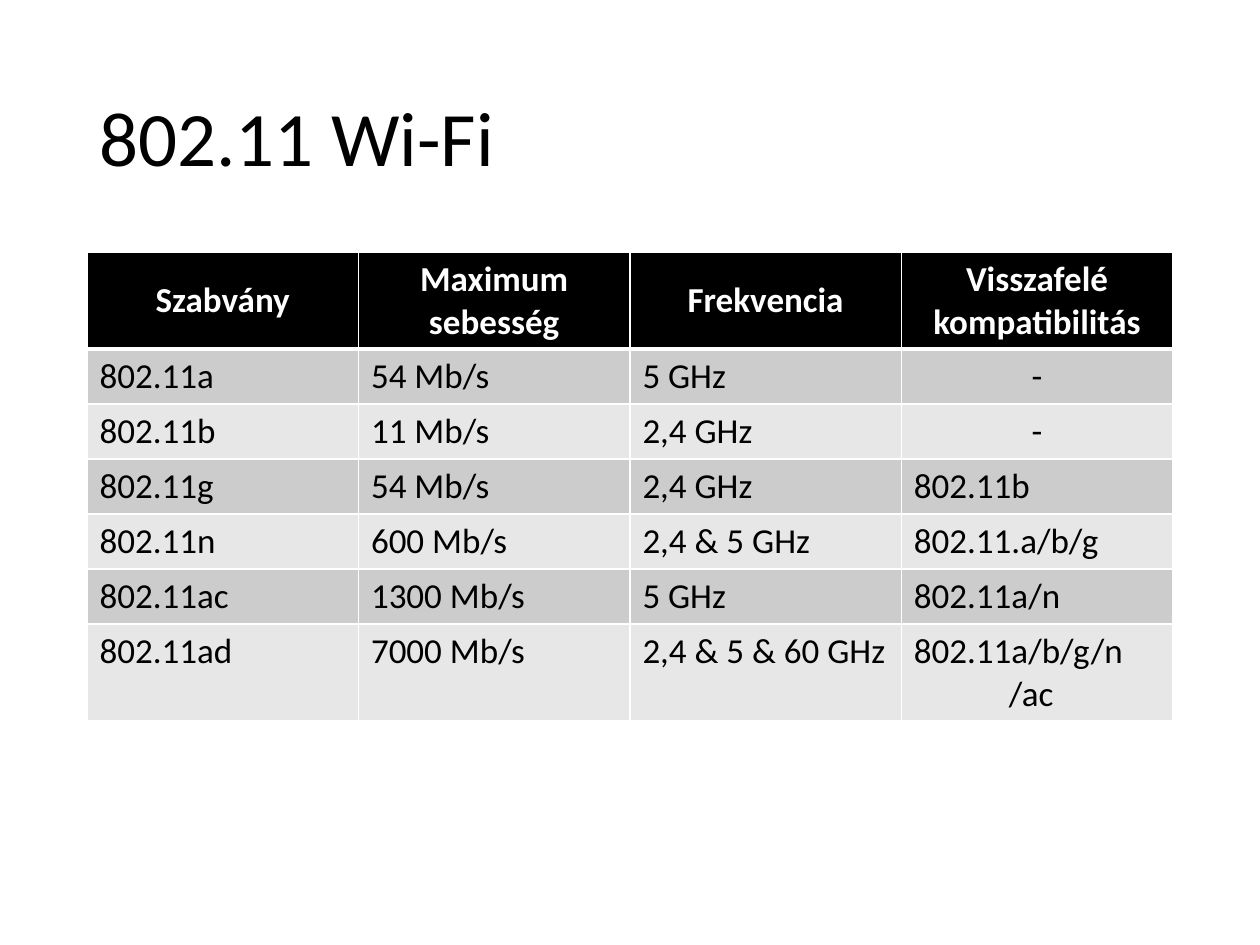
import pptx
import pptx.dml.color
import pptx.enum.text
import pptx.oxml
import pptx.oxml.ns
import pptx.util

RGBColor = pptx.dml.color.RGBColor
PP_ALIGN = pptx.enum.text.PP_ALIGN
MSO_ANCHOR = pptx.enum.text.MSO_ANCHOR

TITLE = "802.11 Wi-Fi"
HEADINGS = ("Szabvány", "Maximum sebesség", "Frekvencia", "Visszafelé kompatibilitás")
STANDARDS = (
    ("802.11a", "54 Mb/s", "5 GHz", "-"),
    ("802.11b", "11 Mb/s", "2,4 GHz", "-"),
    ("802.11g", "54 Mb/s", "2,4 GHz", "802.11b"),
    ("802.11n", "600 Mb/s", "2,4 & 5 GHz", "802.11.a/b/g"),
    ("802.11ac", "1300 Mb/s", "5 GHz", "802.11a/n"),
    ("802.11ad", "7000 Mb/s", "2,4 & 5 & 60 GHz", "802.11a/b/g/n\n/ac"),
)

FONT = "Calibri"
BLACK = RGBColor(0x00, 0x00, 0x00)
WHITE = RGBColor(0xFF, 0xFF, 0xFF)
BANDS = (RGBColor(0xCC, 0xCC, 0xCC), RGBColor(0xE7, 0xE7, 0xE7))

PX = 914400 // 126
SLIDE_W, SLIDE_H = 1260, 945
LEFT, WIDTH = 87, 1086
TITLE_TOP, TITLE_H = 50, 183
TABLE_TOP = 252
ONE_LINE, TWO_LINES = 55, 97
CONTINUATION_INDENT = 95


def px(length):
    return pptx.util.Emu(length * PX)


def style(paragraph, size, color, bold=False):
    font = paragraph.font
    font.name, font.size, font.bold = FONT, pptx.util.Pt(size), bold
    font.color.rgb = color


def add_border(cell, side, points):
    cell._tc.get_or_add_tcPr().append(pptx.oxml.parse_xml(
        f'<a:{side} {pptx.oxml.ns.nsdecls("a")} w="{pptx.util.Pt(points)}">'
        f'<a:solidFill><a:srgbClr val="{WHITE}"/></a:solidFill></a:{side}>'))


def fill_cell(cell, text, row):
    is_header = row == 0
    borders = {"lnL": 1, "lnR": 1, "lnT": 3 if row == 1 else 1, "lnB": 3 if is_header else 1}
    for side, points in borders.items():
        add_border(cell, side, points)
    cell.fill.solid()
    cell.fill.fore_color.rgb = BLACK if is_header else BANDS[(row - 1) % 2]
    cell.vertical_anchor = MSO_ANCHOR.MIDDLE if is_header else MSO_ANCHOR.TOP
    cell.text = text
    for number, paragraph in enumerate(cell.text_frame.paragraphs):
        style(paragraph, 20, WHITE if is_header else BLACK, is_header)
        centred = is_header or text == "-"
        paragraph.alignment = PP_ALIGN.CENTER if centred else PP_ALIGN.LEFT
        if number:
            paragraph._p.get_or_add_pPr().set("marL", str(px(CONTINUATION_INDENT)))


def add_title(slide):
    title = slide.shapes.add_textbox(px(LEFT), px(TITLE_TOP), px(WIDTH), px(TITLE_H))
    frame = title.text_frame
    frame.word_wrap = True
    frame.vertical_anchor = MSO_ANCHOR.MIDDLE
    frame.text = TITLE
    frame.paragraphs[0].line_spacing = 0.9
    style(frame.paragraphs[0], 44, BLACK)


def add_standards(slide):
    rows = (HEADINGS, *STANDARDS)
    heights = [TWO_LINES, *[ONE_LINE] * (len(rows) - 2), TWO_LINES]
    table = slide.shapes.add_table(
        len(rows), len(HEADINGS), px(LEFT), px(TABLE_TOP), px(WIDTH), px(sum(heights))).table
    for row, (texts, height) in enumerate(zip(rows, heights)):
        table.rows[row].height = px(height)
        for column, text in enumerate(texts):
            fill_cell(table.cell(row, column), text, row)


def main():
    presentation = pptx.Presentation()
    presentation.slide_width, presentation.slide_height = px(SLIDE_W), px(SLIDE_H)
    slide = presentation.slides.add_slide(presentation.slide_layouts[6])
    add_title(slide)
    add_standards(slide)
    presentation.save("out.pptx")


if __name__ == "__main__":
    main()
